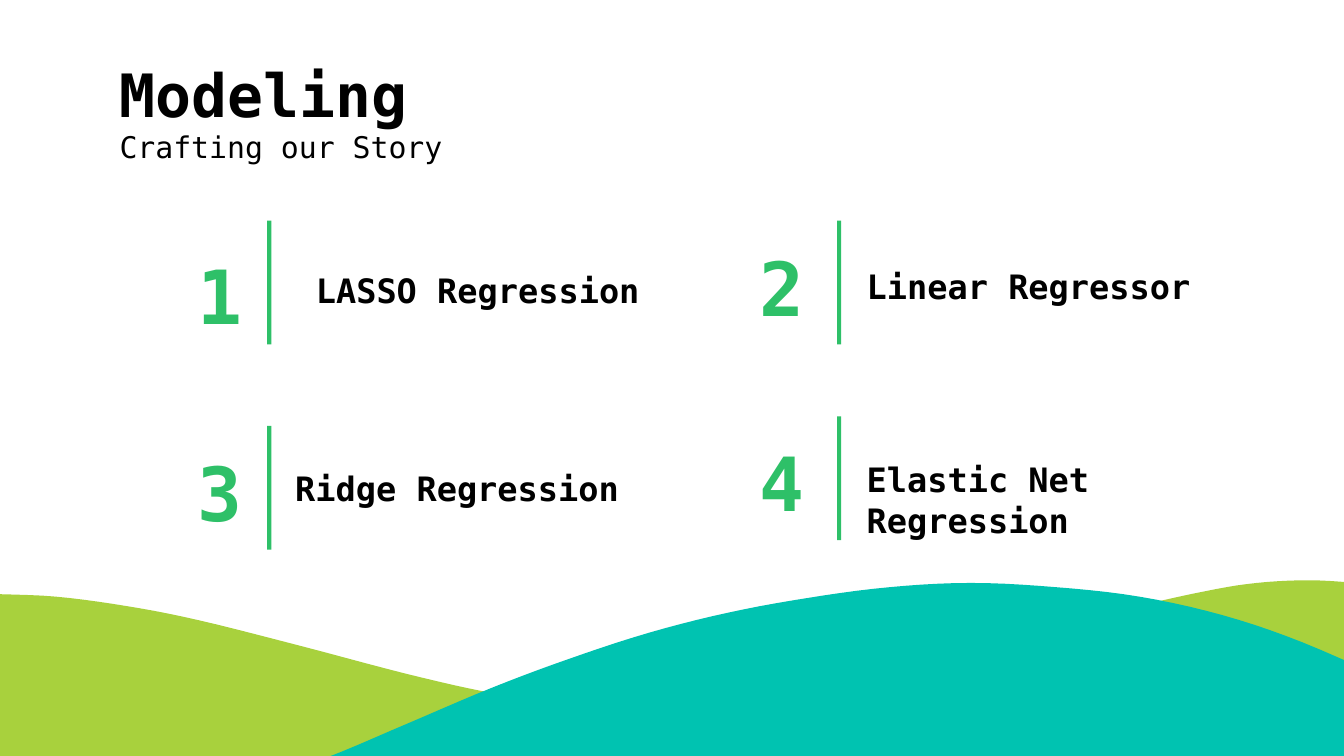
from dataclasses import dataclass

from pptx import Presentation
from pptx.dml.color import RGBColor
from pptx.enum import shapes, text
from pptx.util import Cm, Pt

FONT = "DejaVu Sans Mono"
BLACK, GREEN, LIME, TEAL = "000000", "2EC068", "A8D13D", "00C3B1"
INSET = 0.25
BLOCK_HEIGHT = 2.34
RULE_WIDTH = 0.08

Point = tuple[float, float]


@dataclass(frozen=True)
class Column:
    number_left: float
    rule_left: float
    label_left: float


@dataclass(frozen=True)
class Model:
    number: str
    label: str
    column: Column
    number_top: float
    rule_top: float
    label_top: float
    label_width: float = 7.01
    indent: float = 0


@dataclass(frozen=True)
class Hill:
    color: str
    bottom: float
    crest: list[Point]


LEFT = Column(2.26, 5.05, 5.33)
RIGHT = Column(12.88, 15.82, 16.13)

MODELS = [
    Model("1", "LASSO Regression", LEFT, 4.32, 4.17, 4.85, indent=0.39),
    Model("2", "Linear Regressor", RIGHT, 4.17, 4.17, 4.78),
    Model("3", "Ridge Regression", LEFT, 8.05, 8.05, 8.59),
    Model("4", "Elastic Net Regression", RIGHT, 7.87, 7.87, 8.43, label_width=7.34),
]

HILLS = [
    Hill(LIME, 15.72, [
        (-0.1, 11.23), (1.07, 11.28), (2.41, 11.46), (3.78, 11.73), (5.72, 12.22),
        (7.65, 12.73), (9.19, 13.08), (10.77, 13.34), (12.7, 13.44), (14.38, 13.31),
        (16.05, 13), (17.68, 12.57), (19.61, 11.99), (21.31, 11.51), (22.76, 11.18),
        (23.75, 11.02), (24.74, 10.97), (25.65, 11.02), (26.16, 11.07),
    ]),
    Hill(TEAL, 15.8, [
        (0.03, 15.21), (0.71, 15.32), (1.42, 15.34), (2.29, 15.32), (3.43, 15.14),
        (4.55, 14.86), (6.15, 14.33), (7.72, 13.67), (9.3, 13), (10.77, 12.45),
        (12.27, 11.96), (13.77, 11.58), (15.29, 11.3), (16.81, 11.1), (18.36, 11.02),
        (19.96, 11.1), (21.54, 11.28), (23.11, 11.63), (24.61, 12.14), (26.29, 12.88),
    ]),
]


def rgb(color: str) -> RGBColor:
    return RGBColor.from_string(color)


def paint(shape, color: str) -> None:
    """Give a shape a flat fill without line or shadow."""
    shape.fill.solid()
    shape.fill.fore_color.rgb = rgb(color)
    shape.line.fill.background()
    shape.shadow.inherit = False


def smooth_curve(knots: list[Point], steps: int = 5) -> list[Point]:
    """Run a Catmull-Rom spline through the knots."""
    padded = [knots[0], *knots, knots[-1]]
    points = []
    for a, b, c, d in zip(padded, padded[1:], padded[2:], padded[3:]):
        for step in range(steps):
            t = step / steps
            points.append(tuple(
                q + t / 2 * (r - p + t * (2 * p - 5 * q + 4 * r - s
                                          + t * (3 * (q - r) + s - p)))
                for p, q, r, s in zip(a, b, c, d)))
    return points + [knots[-1]]


def draw_hill(slide, hill: Hill) -> None:
    crest = smooth_curve(hill.crest)
    outline = [*crest, (crest[-1][0], hill.bottom), (crest[0][0], hill.bottom)]
    corners = [(Cm(x), Cm(y)) for x, y in outline]
    builder = slide.shapes.build_freeform(*corners[0])
    builder.add_line_segments(corners[1:], close=True)
    paint(builder.convert_to_shape(), hill.color)


def add_text(slide, left: float, top: float, width: float, height: float,
             lines: list[tuple[str, float, bool]], *, color: str = BLACK,
             align=text.PP_ALIGN.LEFT, anchor=text.MSO_ANCHOR.TOP,
             indent: float = 0, right_inset: float = INSET, space_after: float = 0) -> None:
    """Add one paragraph whose lines are (wording, size, bold)."""
    frame = slide.shapes.add_textbox(Cm(left), Cm(top), Cm(width), Cm(height)).text_frame
    frame.word_wrap = True
    frame.vertical_anchor = anchor
    frame.margin_left = Cm(INSET + indent)
    frame.margin_right = Cm(right_inset)
    frame.margin_top = frame.margin_bottom = Cm(INSET)
    paragraph = frame.paragraphs[0]
    paragraph.alignment = align
    paragraph.space_after = Pt(space_after)
    for index, (wording, size, bold) in enumerate(lines):
        if index:
            paragraph.add_line_break()
        run = paragraph.add_run()
        run.text = wording
        run.font.name = FONT
        run.font.size = Pt(size)
        run.font.bold = bold
        run.font.color.rgb = rgb(color)


def draw_model(slide, model: Model) -> None:
    column = model.column
    add_text(slide, column.number_left, model.number_top, 2.57, BLOCK_HEIGHT,
             [(model.number, 40, True)], color=GREEN,
             align=text.PP_ALIGN.RIGHT, anchor=text.MSO_ANCHOR.BOTTOM)
    rule = slide.shapes.add_shape(
        shapes.MSO_SHAPE.RECTANGLE, Cm(column.rule_left), Cm(model.rule_top),
        Cm(RULE_WIDTH), Cm(BLOCK_HEIGHT))
    paint(rule, GREEN)
    add_text(slide, column.label_left, model.label_top, model.label_width, 0.94,
             [(model.label, 18, True)], indent=model.indent, right_inset=0.1,
             space_after=16)


def main() -> None:
    deck = Presentation()
    deck.slide_width, deck.slide_height = Cm(25.4), Cm(14.29)
    slide = deck.slides.add_slide(deck.slide_layouts[6])
    for hill in HILLS:
        draw_hill(slide, hill)
    add_text(slide, 2.01, 1.4, 21.39, 1.4,
             [("Modeling", 32, True), ("Crafting our Story", 16, False)],
             anchor=text.MSO_ANCHOR.MIDDLE)
    for model in MODELS:
        draw_model(slide, model)
    deck.save("out.pptx")


if __name__ == "__main__":
    main()
